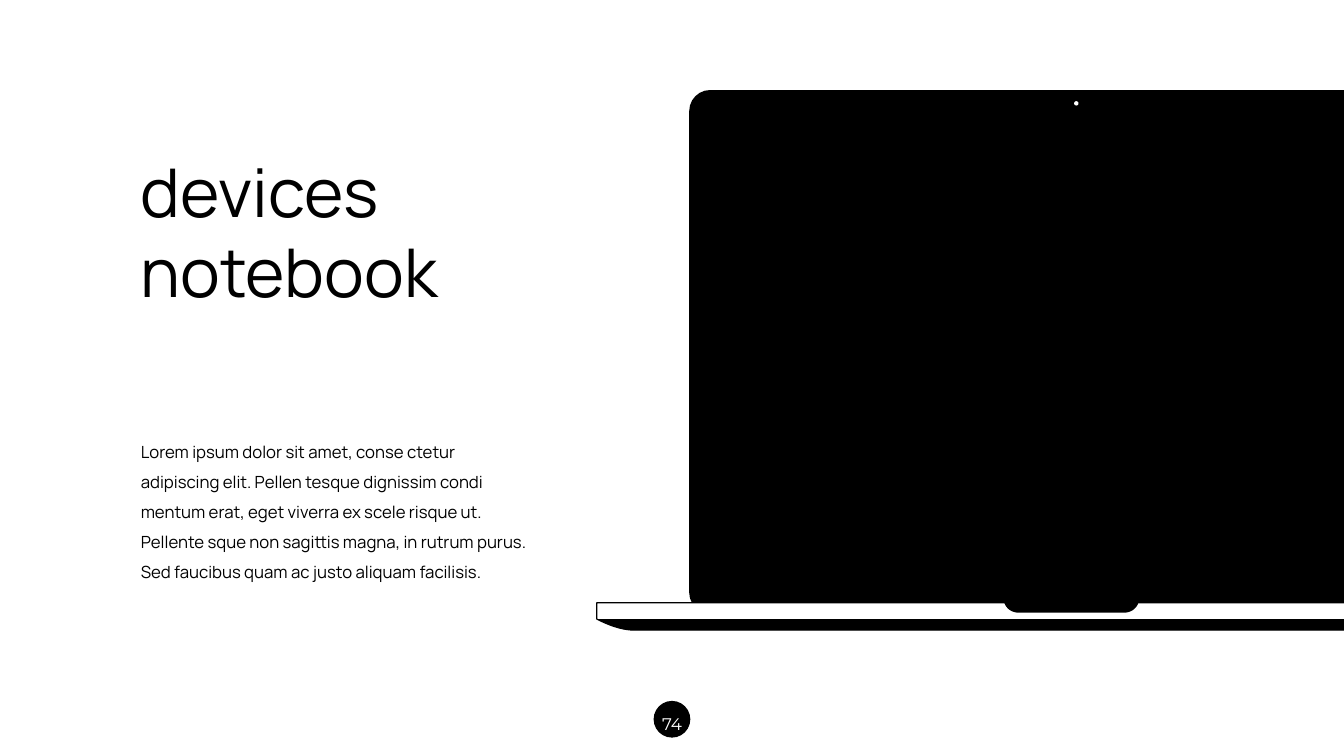
from dataclasses import dataclass

from pptx import Presentation
from pptx import util as u
from pptx.dml.color import RGBColor
from pptx.enum import shapes, text


@dataclass
class Theme:
    """Colours, fonts and type sizes of the deck."""
    ink: str = "000000"
    paper: str = "FFFFFF"
    sans: str = "Manrope"
    num: str = "Montserrat"
    big: float = 48
    small: float = 12


def curve(a, b, c, d, steps=16):
    """Return points along a cubic curve, ends included."""
    return [
        tuple((1 - t) ** 3 * p + 3 * (1 - t) ** 2 * t * q
              + 3 * (1 - t) * t * t * r + t ** 3 * s
              for p, q, r, s in zip(a, b, c, d))
        for t in (i / steps for i in range(steps + 1))
    ]


class Page:
    """Draws styled elements on one slide, with lengths in centimetres."""

    def __init__(self, slide, theme):
        self.items = slide.shapes
        self.theme = theme

    def paint(self, shape, fill, line=None, width=1):
        shape.shadow.inherit = False
        shape.fill.solid()
        shape.fill.fore_color.rgb = RGBColor.from_string(fill)
        if line:
            shape.line.color.rgb = RGBColor.from_string(line)
            shape.line.width = u.Pt(width)
        else:
            shape.line.fill.background()
        return shape

    def shape(self, kind, box, fill, line=None):
        item = self.items.add_shape(kind, *map(u.Cm, box))
        return self.paint(item, fill, line)

    def outline(self, points, fill, line=None, width=1):
        dots = [(u.Cm(x), u.Cm(y)) for x, y in points]
        form = self.items.build_freeform(*dots[0], scale=1.0)
        form.add_line_segments(dots[1:], close=True)
        return self.paint(form.convert_to_shape(), fill, line, width)

    def label(self, words, box, size, font, color, space=1.0,
              align=text.PP_ALIGN.LEFT):
        frame = self.items.add_textbox(*map(u.Cm, box)).text_frame
        frame.word_wrap = True
        frame.auto_size = text.MSO_AUTO_SIZE.SHAPE_TO_FIT_TEXT
        frame.text = words
        para = frame.paragraphs[0]
        para.alignment = align
        para.line_spacing = space
        style = para.runs[0].font
        style.size = u.Pt(size)
        style.name = font
        style.color.rgb = RGBColor.from_string(color)


def laptop(page):
    """Draw the notebook: lid, base, underside, notch and camera."""
    ink, paper = page.theme.ink, page.theme.paper
    kind = shapes.MSO_SHAPE
    lid = page.shape(kind.ROUNDED_RECTANGLE, (17.37, 2.27, 19.33, 13.19), ink)
    lid.adjustments[0] = 0.04

    left, right, top, edge, foot = 15.04, 38.94, 15.19, 15.6, 15.88
    start, end = (left, edge), (right, edge)
    belly = (curve(start, start, (15.54, foot), (15.98, foot))
             + curve((38.05, foot), (38.56, foot), end, end))
    page.outline(belly + [(right, top), (left, top)], paper, ink, 0.79)
    page.outline(belly, ink)

    mid, rim, base = 27.0, 15.16, 15.44
    bend = curve((25.3, rim), (25.35, 15.34), (25.5, base), (25.68, base))
    twin = [(2 * mid - x, y) for x, y in reversed(bend)]
    page.outline(bend + twin, ink)
    page.shape(kind.OVAL, (27.07, 2.55, 0.11, 0.11), paper)


def main():
    """Build and save the slide."""
    deck = Presentation()
    deck.slide_width, deck.slide_height = u.Cm(33.87), u.Cm(19.05)
    theme = Theme()
    page = Page(deck.slides.add_slide(deck.slide_layouts[6]), theme)

    page.shape(shapes.MSO_SHAPE.OVAL, (16.49, 17.68, 0.89, 0.89),
               theme.ink, theme.ink)
    page.label("74", (16.3, 17.6, 1.27, 0.94), theme.small, theme.num,
               theme.paper, 1.5, text.PP_ALIGN.CENTER)
    page.label("devices notebook", (3.3, 3.66, 8.59, 4.37), theme.big,
               theme.sans, theme.ink)
    page.label(
        "Lorem ipsum dolor sit amet, conse ctetur adipiscing elit. "
        "Pellen tesque dignissim condi mentum erat, eget viverra ex scele "
        "risque ut. Pellente sque non sagittis magna, in rutrum purus. "
        "Sed faucibus quam ac justo aliquam facilisis.",
        (3.3, 10.74, 10.46, 4.11), theme.small, theme.sans, theme.ink, 1.5)
    laptop(page)
    deck.save("out.pptx")


if __name__ == "__main__":
    main()
